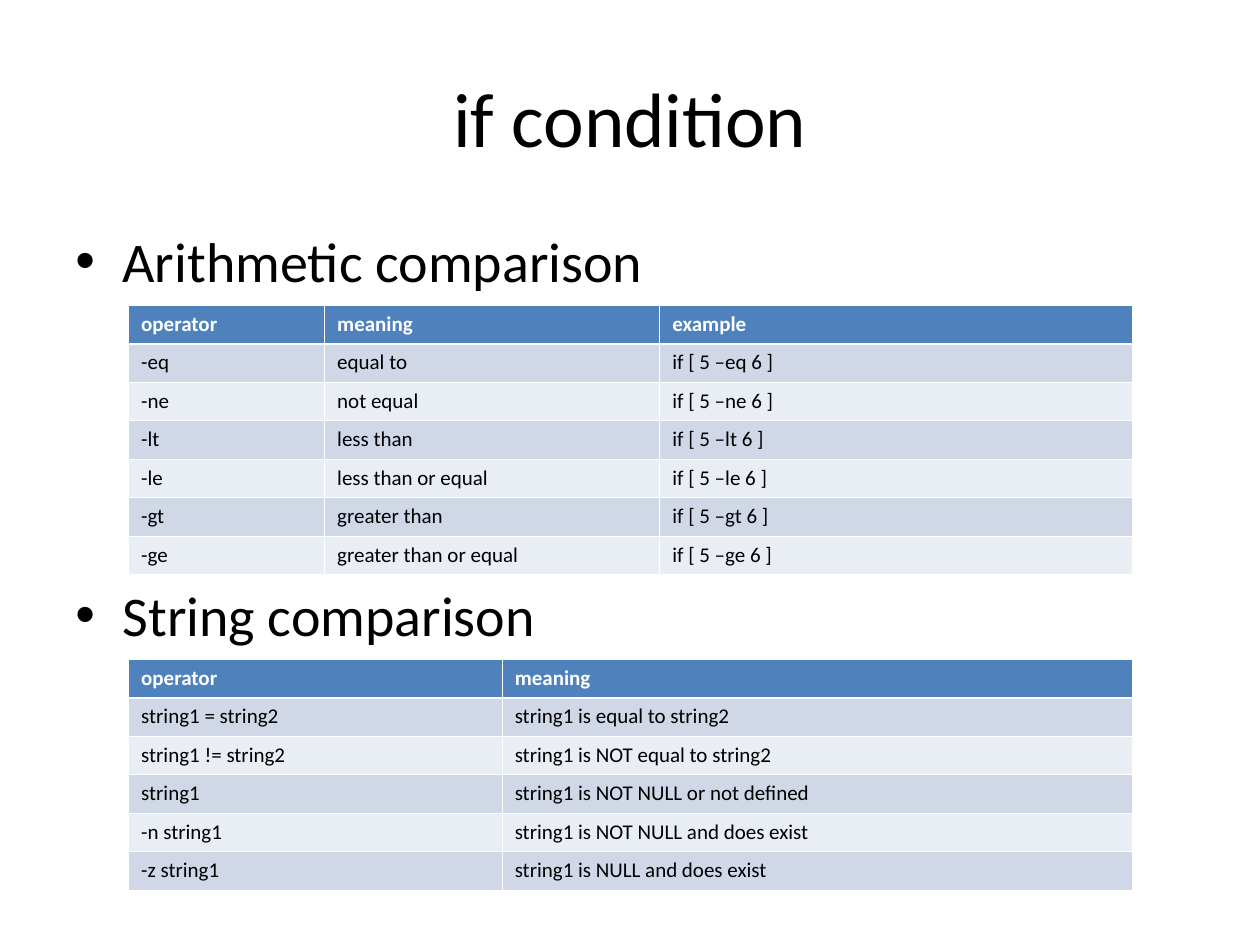
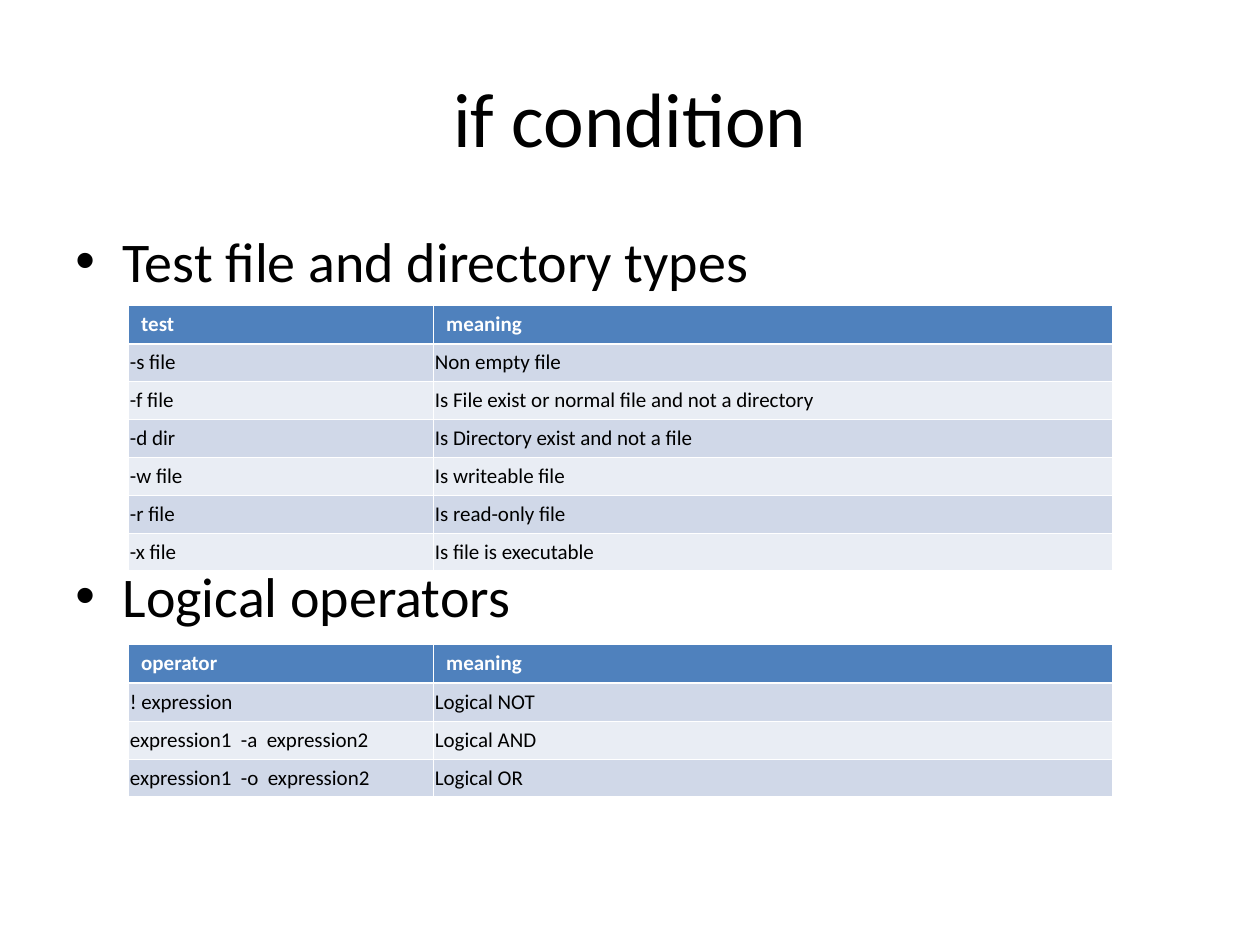
from dataclasses import dataclass

from lxml import etree
from pptx import Presentation
from pptx import util as u
from pptx.dml.color import RGBColor
from pptx.enum import text
from pptx.oxml import ns

FONT = "Calibri"
BLACK, WHITE = "000000", "FFFFFF"
HEADER_FILL = "4F81BD"
BAND_FILLS = ("D0D8E8", "E9EDF4")
THIN, THICK = 0.45, 1.47  # cell border widths

# Shared layout, in points
MARGIN, CONTENT_WIDTH = 36, 648
TITLE_TOP, TITLE_HEIGHT = 21.6, 90
TABLE_LEFT, HEADER_HEIGHT = 73.5, 22
FIRST_HEADING_TOP, FIRST_TABLE_TOP = 126, 174.4
BULLET_INDENT = 27
CELL_INSET = 7.2


@dataclass(frozen=True)
class RowStyle:
    """How the rows below a table header are laid out."""
    height: float
    inset: float
    anchor: text.MSO_ANCHOR


@dataclass(frozen=True)
class Section:
    """A bulleted heading with the table below it."""
    heading: str
    heading_top: float
    heading_height: float
    table_top: float
    column_widths: tuple[float, ...]
    row_style: RowStyle
    rows: list[tuple[str, ...]]


@dataclass(frozen=True)
class ConditionPage:
    title: str
    sections: tuple[Section, ...]


ROOMY = RowStyle(22, CELL_INSET, text.MSO_ANCHOR.TOP)
TIGHT = RowStyle(20.3, 0.75, text.MSO_ANCHOR.MIDDLE)
TEST_COLUMNS = (174.3, 388)

ARITHMETIC = [("operator", "meaning", "example")] + [
    (f"-{name}", meaning, f"if [ 5 –{name} 6 ]")
    for name, meaning in (
        ("eq", "equal to"),
        ("ne", "not equal"),
        ("lt", "less than"),
        ("le", "less than or equal"),
        ("gt", "greater than"),
        ("ge", "greater than or equal"),
    )
]
STRINGS = [
    ("operator", "meaning"),
    ("string1 = string2", "string1 is equal to string2"),
    ("string1 != string2", "string1 is NOT equal to string2"),
    ("string1", "string1 is NOT NULL or not defined"),
    ("-n string1", "string1 is NOT NULL and does exist"),
    ("-z string1", "string1 is NULL and does exist"),
]
FILE_TESTS = [
    ("test", "meaning"),
    ("-s file", "Non empty file"),
    ("-f file", "Is File exist or normal file and not a directory"),
    ("-d dir", "Is Directory exist and not a file"),
    ("-w file", "Is writeable file"),
    ("-r file", "Is read-only file"),
    ("-x file", "Is file is executable"),
]
LOGICAL = [
    ("operator", "meaning"),
    ("! expression", "Logical NOT"),
    ("expression1  -a  expression2", "Logical AND"),
    ("expression1  -o  expression2", "Logical OR"),
]

PAGES = (
    ConditionPage("if condition", (
        Section("Arithmetic comparison", FIRST_HEADING_TOP, 206, FIRST_TABLE_TOP,
                (112, 191.5, 270), ROOMY, ARITHMETIC),
        Section("String comparison", 328.4, 178, 376.7,
                (213.5, 360), ROOMY, STRINGS),
    )),
    ConditionPage("if condition", (
        Section("Test file and directory types", FIRST_HEADING_TOP, 194.4,
                FIRST_TABLE_TOP, TEST_COLUMNS, TIGHT, FILE_TESTS),
        Section("Logical operators", 317.4, 194.4, 368.4,
                TEST_COLUMNS, TIGHT, LOGICAL),
    )),
)


def color(value: str) -> RGBColor:
    return RGBColor.from_string(value)


def add_span(para, words: str, size: float, ink: str = BLACK, bold: bool = False) -> None:
    span = para.add_run()
    span.text = words
    span.font.name = FONT
    span.font.size = u.Pt(size)
    span.font.bold = bold
    span.font.color.rgb = color(ink)


def add_box(page, top: float, height: float, anchor: text.MSO_ANCHOR):
    """Add a text box across the content width; return its first paragraph."""
    box = page.shapes.add_textbox(u.Pt(MARGIN), u.Pt(top),
                                  u.Pt(CONTENT_WIDTH), u.Pt(height))
    frame = box.text_frame
    frame.word_wrap = True
    frame.vertical_anchor = anchor
    return frame.paragraphs[0]


def add_title(page, words: str) -> None:
    para = add_box(page, TITLE_TOP, TITLE_HEIGHT, text.MSO_ANCHOR.MIDDLE)
    para.alignment = text.PP_ALIGN.CENTER
    add_span(para, words, 44)


def add_heading(page, section: Section) -> None:
    para = add_box(page, section.heading_top, section.heading_height,
                   text.MSO_ANCHOR.TOP)
    para.space_before = u.Pt(8)
    props = para._p.get_or_add_pPr()
    props.set("marL", str(u.Pt(BULLET_INDENT)))
    props.set("indent", str(-u.Pt(BULLET_INDENT)))
    etree.SubElement(props, ns.qn("a:buFont"), typeface="Arial")
    etree.SubElement(props, ns.qn("a:buChar"), char="•")
    add_span(para, section.heading, 32)


def set_borders(cell, top: float, bottom: float) -> None:
    props = cell._tc.get_or_add_tcPr()
    for side, width in (("L", THIN), ("R", THIN), ("T", top), ("B", bottom)):
        line = etree.SubElement(props, ns.qn(f"a:ln{side}"), w=str(u.Pt(width)))
        fill = etree.SubElement(line, ns.qn("a:solidFill"))
        etree.SubElement(fill, ns.qn("a:srgbClr"), val=WHITE)


def fill_cell(cell, words: str, row: int, style: RowStyle) -> None:
    header = row == 0
    inset = CELL_INSET if header else style.inset
    cell.margin_left = cell.margin_right = u.Pt(inset)
    cell.vertical_anchor = text.MSO_ANCHOR.TOP if header else style.anchor
    set_borders(cell, top=THICK if row == 1 else THIN,
                bottom=THICK if header else THIN)
    cell.fill.solid()
    cell.fill.fore_color.rgb = color(HEADER_FILL if header else BAND_FILLS[(row - 1) % 2])
    add_span(cell.text_frame.paragraphs[0], words, 12,
             WHITE if header else BLACK, bold=header)


def add_operator_table(page, section: Section) -> None:
    style = section.row_style
    heights = [HEADER_HEIGHT] + [style.height] * (len(section.rows) - 1)
    table = page.shapes.add_table(
        len(heights), len(section.column_widths),
        u.Pt(TABLE_LEFT), u.Pt(section.table_top),
        u.Pt(sum(section.column_widths)), u.Pt(sum(heights))).table
    table.horz_banding = False
    for column, width in zip(table.columns, section.column_widths):
        column.width = u.Pt(width)
    for row, (height, entries) in enumerate(zip(heights, section.rows)):
        table.rows[row].height = u.Pt(height)
        for cell, words in zip(table.rows[row].cells, entries):
            fill_cell(cell, words, row, style)


def main() -> None:
    deck = Presentation()
    deck.slide_width, deck.slide_height = u.Pt(720), u.Pt(540)
    blank = deck.slide_layouts[6]
    for content in PAGES:
        page = deck.slides.add_slide(blank)
        add_title(page, content.title)
        for section in content.sections:
            add_heading(page, section)
            add_operator_table(page, section)
    deck.save("out.pptx")


if __name__ == "__main__":
    main()
